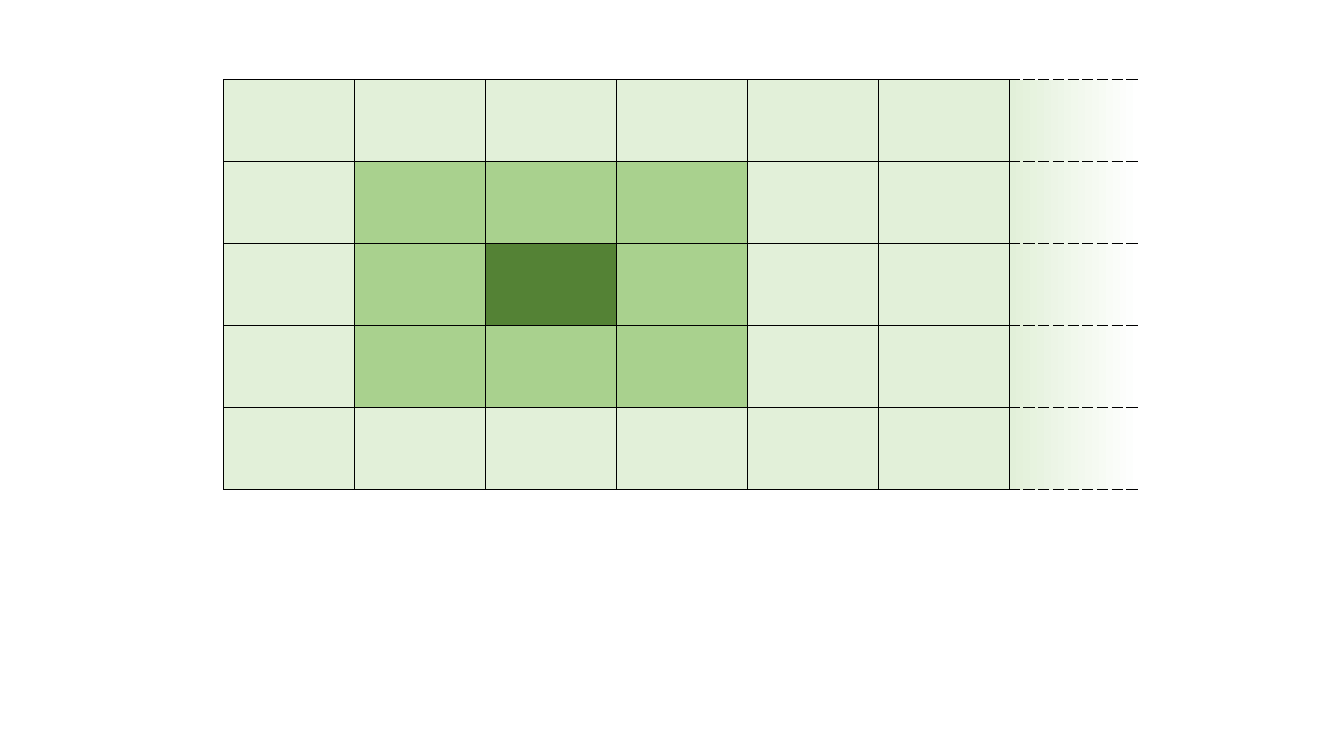
from dataclasses import dataclass

from lxml.etree import SubElement as Sub
from pptx import Presentation as Deck
from pptx.dml.color import RGBColor as Rgb
from pptx.oxml.ns import qn
from pptx.util import Inches, Pt


@dataclass(frozen=True)
class Theme:
    pale: str = "E2F0D9"
    mid: str = "A9D18E"
    dark: str = "548235"
    white: str = "FFFFFF"
    line: str = "000000"
    font: str = "Calibri"
    size: int = 18
    width: int = 1


class Board:
    def __init__(self, slide, theme):
        self.slide = slide
        self.theme = theme

    def edge(self, cell, side, dash):
        line = Sub(cell._tc.get_or_add_tcPr(), qn(f"a:ln{side}"),
                   w=str(Pt(self.theme.width)))
        if dash is None:
            Sub(line, qn("a:noFill"))
            return
        fill = Sub(line, qn("a:solidFill"))
        Sub(fill, qn("a:srgbClr"), val=self.theme.line)
        Sub(line, qn("a:prstDash"), val=dash)

    def solid(self, cell, color):
        cell.fill.solid()
        cell.fill.fore_color.rgb = Rgb.from_string(color)

    def fade(self, cell, start, end):
        cell.fill.gradient()
        cell.fill.gradient_angle = 0
        for stop, place, color in zip(cell.fill.gradient_stops, (0, 1), (start, end)):
            stop.position = place
            stop.color.rgb = Rgb.from_string(color)

    def grid(self, rows, cols, left, top, width, height):
        table = self.slide.shapes.add_table(
            rows, cols, Inches(left), Inches(top), Inches(width), Inches(height)).table
        table.first_row = table.horz_banding = False
        for col in table.columns:
            col.width = Inches(width / cols)
        for row in table.rows:
            row.height = Inches(height / rows)
        return table

    def paint(self, table, hub):
        shades = (self.theme.dark, self.theme.mid)
        last = len(table.columns) - 1
        for y in range(len(table.rows)):
            for x in range(last + 1):
                cell = table.cell(y, x)
                font = cell.text_frame.paragraphs[0].font
                font.name, font.size = self.theme.font, Pt(self.theme.size)
                open_end = x == last
                flat = "sysDash" if open_end else "solid"
                sides = {"L": "solid", "R": None if open_end else "solid",
                         "T": flat, "B": flat}
                for side, dash in sides.items():
                    self.edge(cell, side, dash)
                if open_end:
                    self.fade(cell, self.theme.pale, self.theme.white)
                else:
                    ring = max(abs(y - hub[0]), abs(x - hub[1]))
                    self.solid(cell, shades[ring] if ring < len(shades) else self.theme.pale)


deck = Deck()
deck.slide_width, deck.slide_height = Inches(13.33), Inches(7.5)
board = Board(deck.slides.add_slide(deck.slide_layouts[6]), Theme())
cells = board.grid(5, 7, 2.22, 0.79, 9.09, 4.07)
board.paint(cells, (2, 2))
deck.save("out.pptx")
